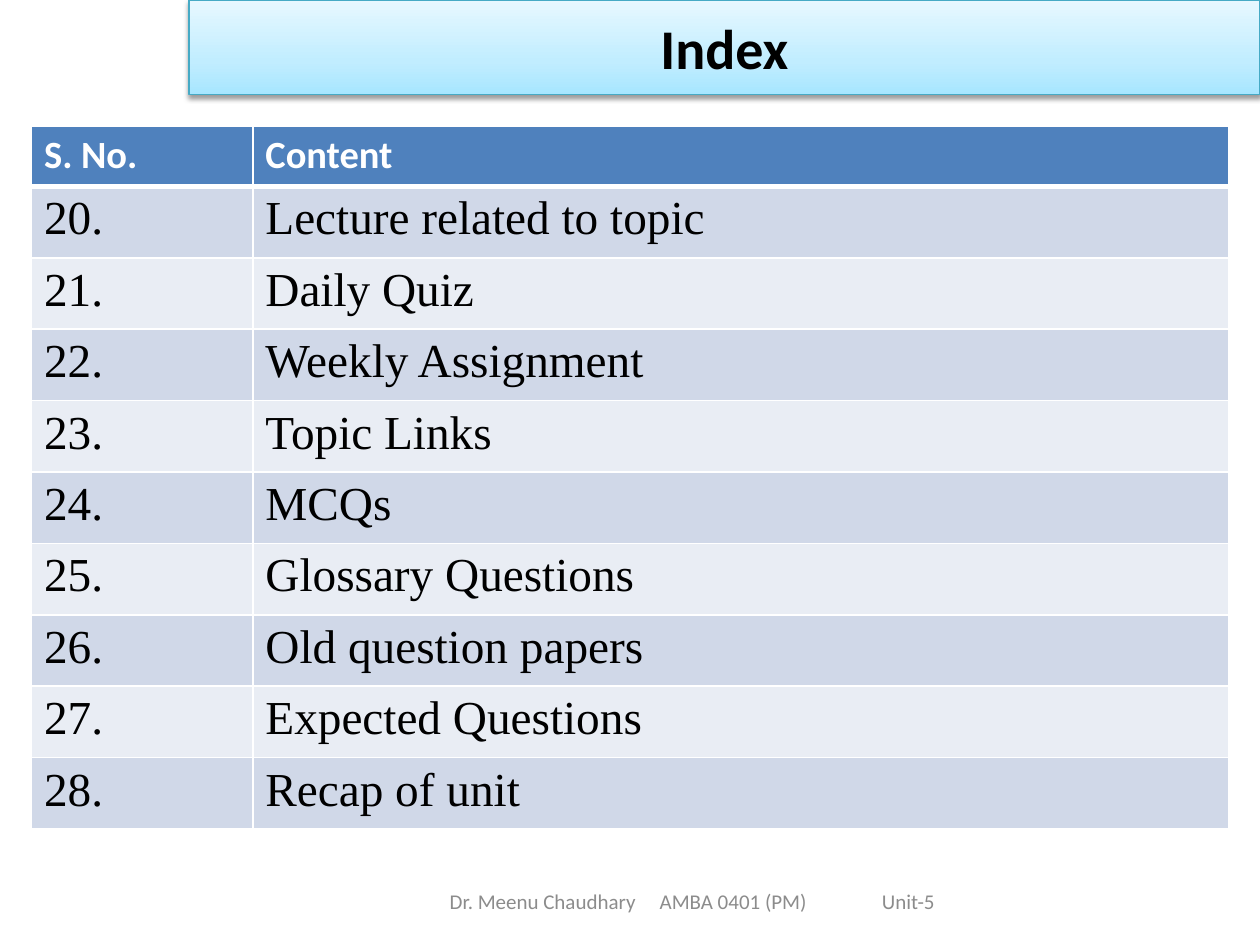
from copy import deepcopy
from lxml import etree
from pptx import Presentation
from pptx.dml.color import RGBColor
from pptx.enum.shapes import MSO_SHAPE
from pptx.enum.text import MSO_ANCHOR, PP_ALIGN
from pptx.oxml import parse_xml
from pptx.oxml.ns import qn
from pptx.util import Pt

RECT = MSO_SHAPE.RECTANGLE
MIDDLE = MSO_ANCHOR.MIDDLE
CENTER = PP_ALIGN.CENTER
NS = 'xmlns:a="http://schemas.openxmlformats.org/drawingml/2006/main"'


def rgb(value):
    return RGBColor.from_string(value)


def style(p, size, color, name="Calibri", bold=False):
    for r in p.runs:
        r.font.size = Pt(size)
        r.font.name = name
        r.font.bold = bold
        r.font.color.rgb = rgb(color)


prs = Presentation()
prs.slide_width = Pt(720)
prs.slide_height = Pt(540)
s = prs.slides.add_slide(prs.slide_layouts[6])

sp = s.shapes.add_shape(RECT, Pt(108), Pt(0), Pt(612), Pt(54))
sp.fill.gradient()
sp.fill.gradient_angle = 90
stops = sp.element.spPr.find(".//" + qn("a:gsLst"))
stops.append(deepcopy(stops[-1]))
gradient = [(0, "A7E6FF"), (0.35, "C1EDFF"), (1, "E7F8FF")]
for stop, (position, color) in zip(sp.fill.gradient_stops, gradient):
    stop.position = position
    stop.color.rgb = rgb(color)
sp.line.color.rgb = rgb("46AAC5")
sp.line.width = Pt(0.75)
sp.shadow.inherit = False
effects = sp.element.spPr.find(qn("a:effectLst"))
effects.append(parse_xml(
    f'<a:outerShdw {NS} blurRad="{Pt(3.1)}" dist="{Pt(1.6)}" dir="5400000" rotWithShape="0">'
    '<a:srgbClr val="000000"><a:alpha val="38000"/></a:srgbClr></a:outerShdw>'))
tf = sp.text_frame
tf.text = "Index"
tf.vertical_anchor = MIDDLE
p = tf.paragraphs[0]
p.alignment = CENTER
style(p, 32, "000000", bold=True)

footer = s.shapes.add_textbox(Pt(198), Pt(500.4), Pt(396), Pt(28.8))
tf = footer.text_frame
tf.word_wrap = True
tf.vertical_anchor = MIDDLE
tf.margin_left = Pt(59)
p = tf.paragraphs[0]
p.text = "Dr. Meenu Chaudhary\tAMBA 0401 (PM)\tUnit-5"
tabs = etree.SubElement(p._p.get_or_add_pPr(), qn("a:tabLst"))
for pos in (120, 247):
    etree.SubElement(tabs, qn("a:tab"), pos=str(Pt(pos)), algn="l")
style(p, 12, "8C8C8C")

topics = ["Lecture related to topic", "Daily Quiz", "Weekly Assignment",
          "Topic Links", "MCQs", "Glossary Questions", "Old question papers",
          "Expected Questions", "Recap of unit"]
rows = [("S. No.", "Content")]
rows += [(f"{number}.", topic) for number, topic in enumerate(topics, 20)]

table = s.shapes.add_table(len(rows), 2, Pt(18), Pt(72), Pt(684), Pt(401.76)).table
table.columns[0].width = Pt(126.5)
table.columns[1].width = Pt(557.5)
for i, row in enumerate(rows):
    table.rows[i].height = Pt(40.8 if i else 34.56)
    for j, text in enumerate(row):
        cell = table.cell(i, j)
        cell.text = text
        p = cell.text_frame.paragraphs[0]
        cell.fill.solid()
        if i == 0:
            fill = "4F81BD"
            style(p, 22, "FFFFFF", bold=True)
        else:
            fill = "D0D8E8" if i % 2 else "E9EDF4"
            style(p, 27, "000000", "Times New Roman")
        cell.fill.fore_color.rgb = rgb(fill)
        widths = {"L": 1, "R": 1, "T": 3 if i == 1 else 1, "B": 1 if i else 3}
        tcPr = cell._tc.get_or_add_tcPr()
        for k, (side, width) in enumerate(widths.items()):
            tcPr.insert(k, parse_xml(
                f'<a:ln{side} {NS} w="{Pt(width)}"><a:solidFill>'
                f'<a:srgbClr val="FFFFFF"/></a:solidFill></a:ln{side}>'))

prs.save("out.pptx")
